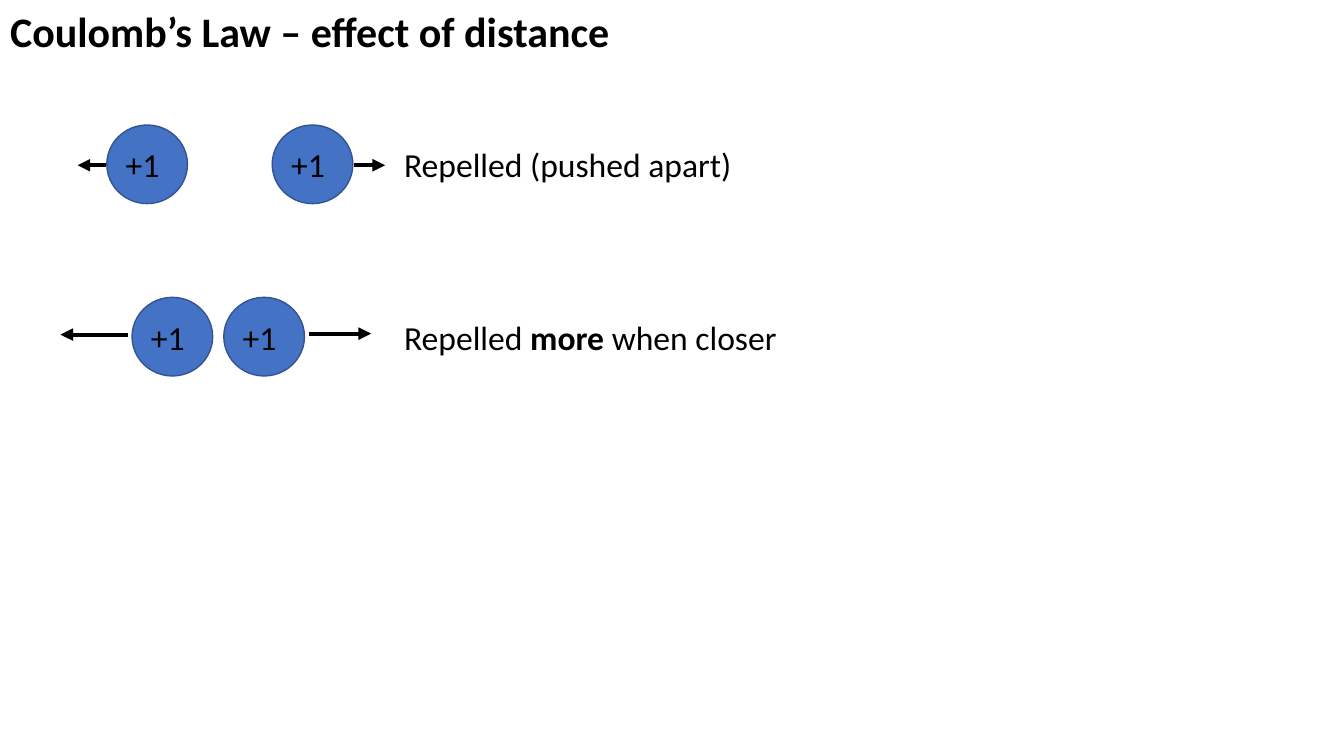
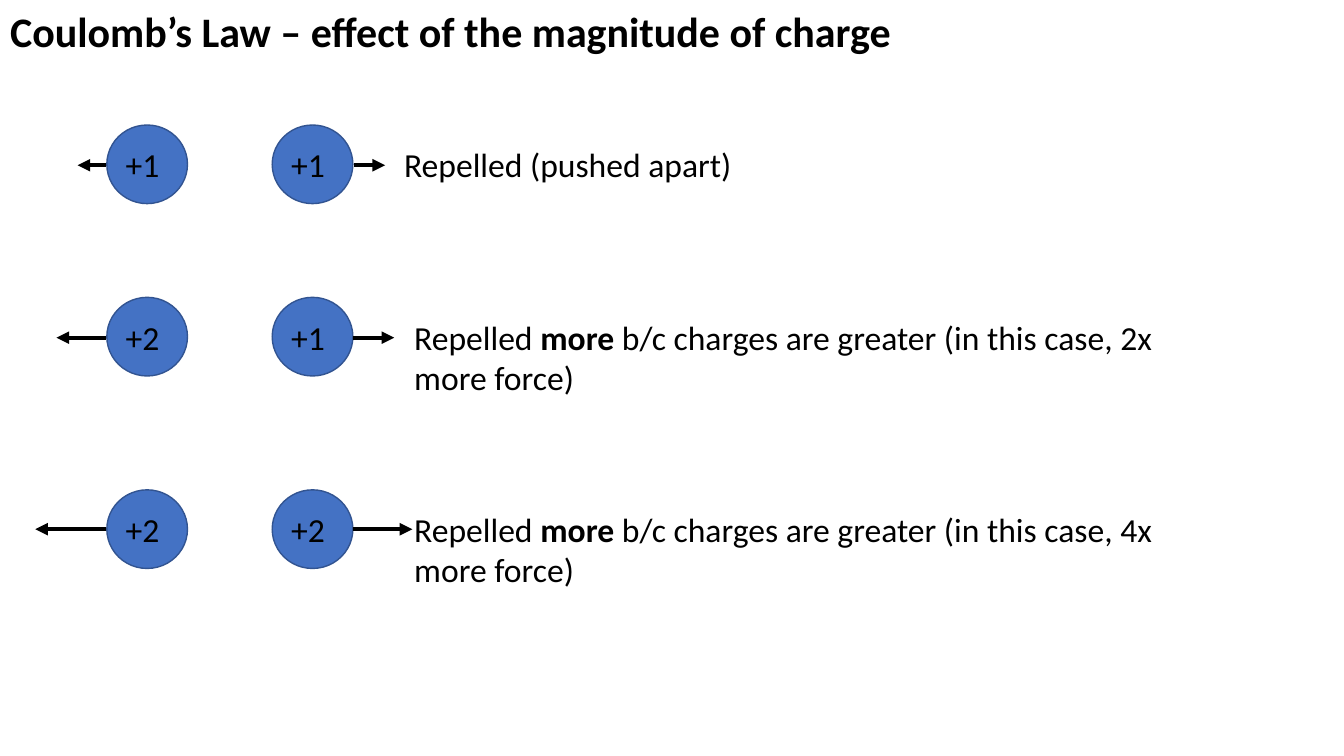
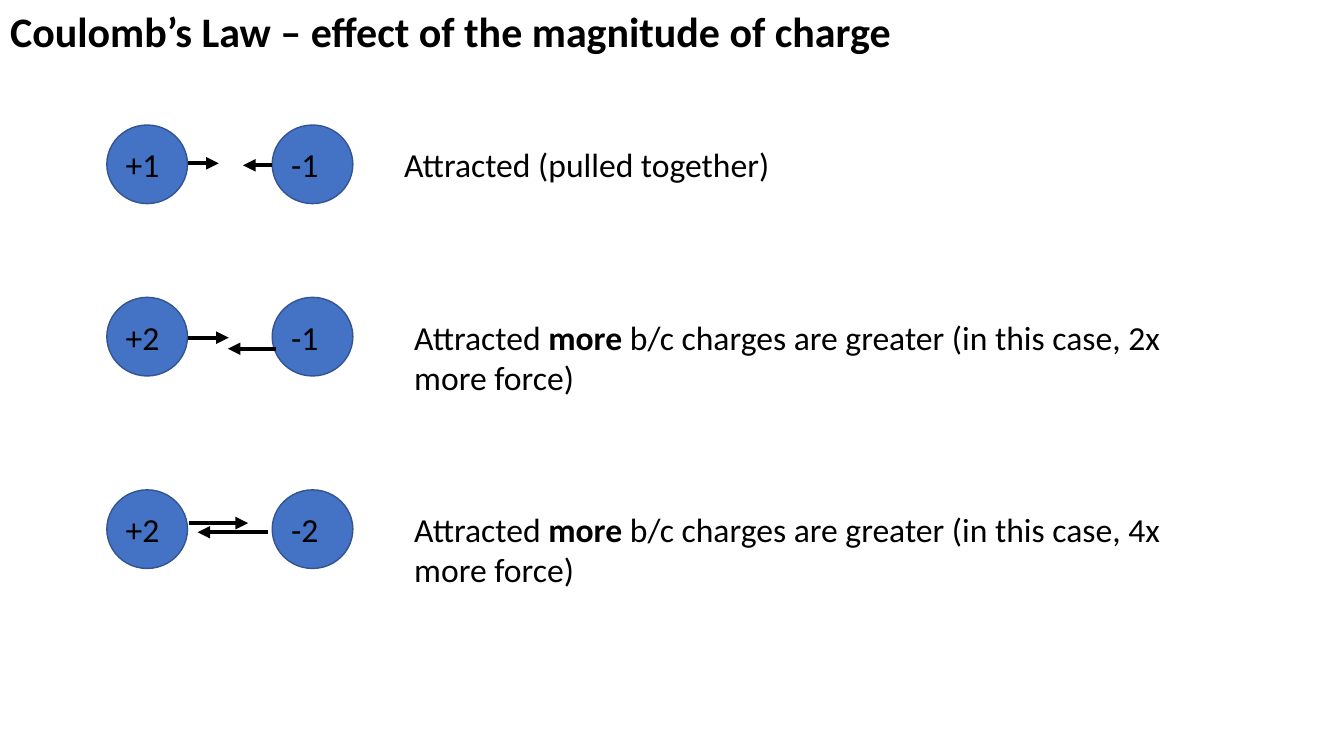
from collections import namedtuple

from lxml.etree import SubElement
from pptx import Presentation
from pptx.dml.color import RGBColor
from pptx.enum.shapes import MSO_CONNECTOR, MSO_SHAPE
from pptx.enum.text import MSO_ANCHOR, MSO_AUTO_SIZE, PP_ALIGN
from pptx.oxml.ns import qn
from pptx.util import Inches, Pt

COLORS = {name: RGBColor.from_string(value) for name, value in {
    "ink": "000000", "charge": "4472C4", "outline": "325491"}.items()}
TITLE_FONT = {"name": "Calibri", "size": Pt(30), "bold": True}
BODY_FONT = {"name": "Calibri", "size": Pt(24), "bold": False}

# Lengths in inches
CHARGE_W, CHARGE_H = 0.8, 0.78
PAIR_LEFT, PAIR_GAP = 1.06, 0.84
ROW_TOPS = (1.24, 2.95, 4.86)
CAPTION_DROP = 0.14
REPEL, ATTRACT = -1, 1

# gap: from charge edge to arrow start; drop: from row top to arrow
Force = namedtuple("Force", "length gap drop", defaults=(0, 0.4))
Caption = namedtuple("Caption", "runs left width", defaults=(4.01, 8.11))
Row = namedtuple("Row", "signs forces caption left spacing",
                 defaults=(PAIR_LEFT, PAIR_GAP))


def add_run(paragraph, text, font, **changes):
    run = paragraph.add_run()
    run.text = text
    for key, value in {**font, **changes}.items():
        setattr(run.font, key, value)
    run.font.color.rgb = COLORS["ink"]


def format_frame(frame, **settings):
    for key, value in {"word_wrap": True, **settings}.items():
        setattr(frame, key, value)


def add_title(slide, text):
    title = slide.shapes.title
    title.left, title.top = Inches(0), Inches(0)
    title.width, title.height = Inches(12.26), Inches(0.68)
    format_frame(title.text_frame, auto_size=MSO_AUTO_SIZE.NONE,
                 vertical_anchor=MSO_ANCHOR.MIDDLE)
    paragraph = title.text_frame.paragraphs[0]
    paragraph.alignment = PP_ALIGN.LEFT
    paragraph.line_spacing = 0.9
    add_run(paragraph, text, TITLE_FONT)


def add_charge(slide, left, top, sign):
    charge = slide.shapes.add_shape(
        MSO_SHAPE.OVAL, Inches(left), Inches(top),
        Inches(CHARGE_W), Inches(CHARGE_H))
    charge.shadow.inherit = False
    charge.fill.solid()
    charge.fill.fore_color.rgb = COLORS["charge"]
    charge.line.color.rgb = COLORS["outline"]
    charge.line.width = Pt(1)
    format_frame(charge.text_frame, vertical_anchor=MSO_ANCHOR.MIDDLE,
                 margin_left=Inches(0.07), margin_right=0,
                 margin_top=0, margin_bottom=0)
    paragraph = charge.text_frame.paragraphs[0]
    paragraph.alignment = PP_ALIGN.LEFT
    add_run(paragraph, sign, BODY_FONT)


def add_force(slide, charge_left, row_top, direction, force):
    """Draw an arrow out of the charge; direction is 1 right, -1 left."""
    edge = charge_left + (CHARGE_W if direction > 0 else 0)
    start = edge + direction * force.gap
    end = start + direction * force.length
    y = Inches(row_top + force.drop)
    arrow = slide.shapes.add_connector(
        MSO_CONNECTOR.STRAIGHT, Inches(start), y, Inches(end), y)
    arrow.line.color.rgb = COLORS["ink"]
    arrow.line.width = Pt(3)
    SubElement(arrow.line._get_or_add_ln(), qn("a:tailEnd"), type="triangle")
    SubElement(arrow._element.spPr, qn("a:effectLst"))


def add_caption(slide, top, caption):
    height = 0.91 if len("".join(caption.runs)) > 50 else 0.5
    box = slide.shapes.add_textbox(
        Inches(caption.left), Inches(top), Inches(caption.width), Inches(height))
    format_frame(box.text_frame, auto_size=MSO_AUTO_SIZE.SHAPE_TO_FIT_TEXT)
    for text in caption.runs:
        add_run(box.text_frame.paragraphs[0], text, BODY_FONT,
                bold=text == "more")


def add_row(slide, top, effect, row):
    lefts = (row.left, row.left + CHARGE_W + row.spacing)
    for left, sign in zip(lefts, row.signs):
        add_charge(slide, left, top, sign)
    for left, direction, force in zip(lefts, (effect, -effect), row.forces):
        add_force(slide, left, top, direction, force)
    add_caption(slide, top + CAPTION_DROP, row.caption)


def add_law_slide(deck, topic, effect, rows):
    slide = deck.slides.add_slide(deck.slide_layouts[5])
    add_title(slide, f"Coulomb’s Law – effect of {topic}")
    for top, row in zip(ROW_TOPS, rows):
        add_row(slide, top, effect, row)


def greater(verb, factor):
    return Caption((f"{verb} ", "more",
                    f" b/c charges are greater (in this case, {factor}x more force)"))


def main():
    deck = Presentation()
    deck.slide_width, deck.slide_height = Inches(13.33), Inches(7.5)

    repelled = Row(("+1", "+1"), (Force(0.28, 0.01), Force(0.31, 0.01)),
                   Caption(("Repelled (pushed apart)",), 3.91, 7))

    # Distance
    add_law_slide(deck, "distance", REPEL, [
        repelled,
        Row(("+1", "+1"), (Force(0.67, 0.04, 0.37), Force(0.62, 0.04, 0.36)),
            Caption(("Repelled ", "more", " when closer"), 3.91, 8.83),
            left=1.31, spacing=0.11),
    ])

    # Magnitude, like charges
    add_law_slide(deck, "the magnitude of charge", REPEL, [
        repelled,
        Row(("+2", "+1"), (Force(0.49, 0.01), Force(0.41)),
            greater("Repelled", 2)),
        Row(("+2", "+2"), (Force(0.7, 0.01, 0.39), Force(0.59, 0, 0.39)),
            greater("Repelled", 4)),
    ])

    # Magnitude, opposite charges
    add_law_slide(deck, "the magnitude of charge", ATTRACT, [
        Row(("+1", "-1"), (Force(0.31, 0, 0.38), Force(0.29)),
            Caption(("Attracted (pulled together)",), 3.91, 7)),
        Row(("+2", "-1"), (Force(0.41), Force(0.48, -0.04, 0.51)),
            greater("Attracted", 2)),
        Row(("+2", "-2"), (Force(0.59, 0.01, 0.33), Force(0.7, 0.04, 0.42)),
            greater("Attracted", 4)),
    ])

    deck.save("out.pptx")


if __name__ == "__main__":
    main()
